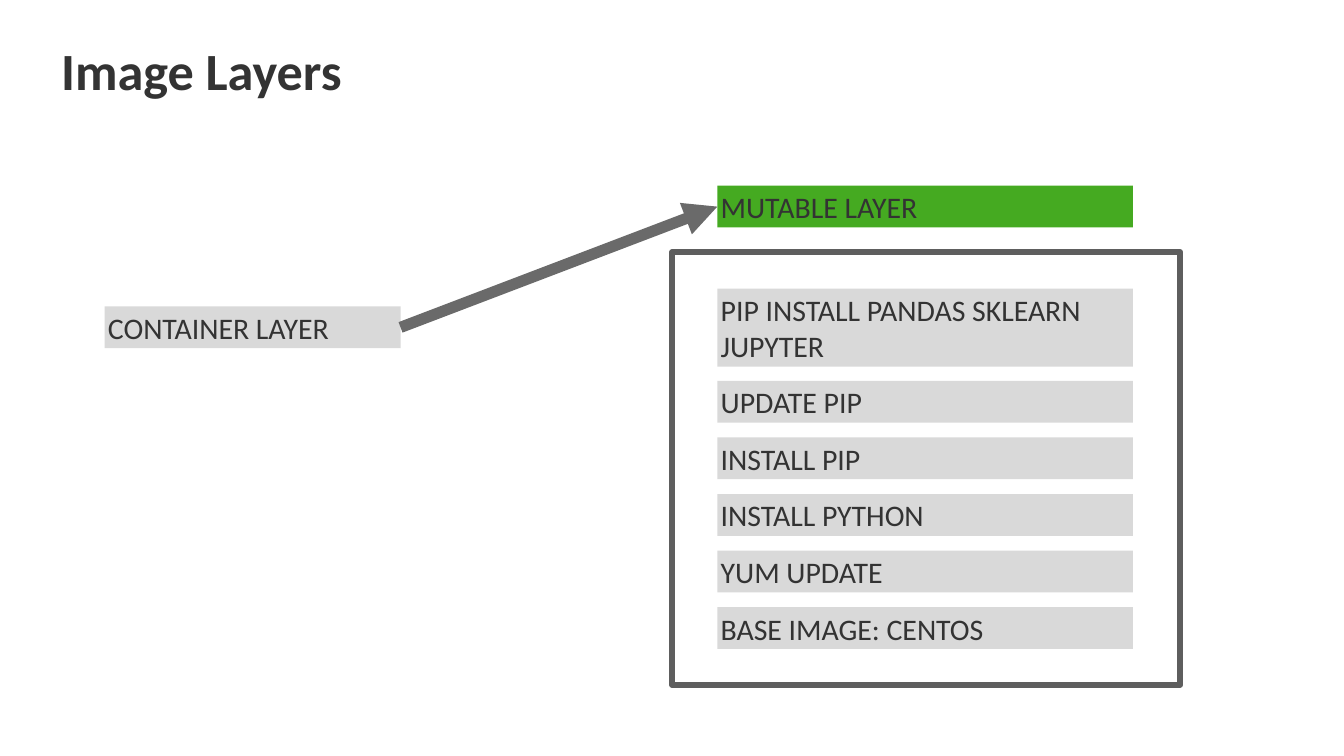
from pptx import Presentation
from pptx.dml.color import RGBColor
from pptx.enum.shapes import MSO_CONNECTOR as Connector, MSO_SHAPE as Shape
from pptx.enum.text import MSO_ANCHOR as Anchor, PP_ALIGN as Align
from pptx.oxml.xmlchemy import OxmlElement
from pptx.util import Pt

INK = RGBColor(0x33, 0x33, 0x33)
GRAY = RGBColor(0xD9, 0xD9, 0xD9)
GREEN = RGBColor(0x45, 0xAA, 0x21)
FRAME = RGBColor(0x5E, 0x5E, 0x5E)
ARROW = RGBColor(0x6A, 0x6A, 0x6A)


class LayerSlide:
    """Draws the parts of a layer diagram in one style on one slide."""

    font_name = "Calibri"
    inset = Pt(1.8)

    def __init__(self, slide):
        self.shapes = slide.shapes

    def label(self, shape, text, size, bold=False):
        frame = shape.text_frame
        frame.text = text
        frame.word_wrap = True
        frame.vertical_anchor = Anchor.MIDDLE
        frame.margin_left = frame.margin_right = self.inset
        frame.margin_top = frame.margin_bottom = self.inset
        paragraph = frame.paragraphs[0]
        paragraph.alignment = Align.LEFT
        font = paragraph.runs[0].font
        font.name, font.size, font.bold = self.font_name, Pt(size), bold
        font.color.rgb = INK

    def title(self, text, left, top, width, height):
        box = self.shapes.add_textbox(Pt(left), Pt(top), Pt(width), Pt(height))
        self.label(box, text, 28, bold=True)

    def rectangle(self, left, top, width, height):
        shape = self.shapes.add_shape(Shape.RECTANGLE, Pt(left), Pt(top), Pt(width), Pt(height))
        shape.shadow.inherit = False
        return shape

    def layer(self, text, left, top, width, height, color=GRAY):
        bar = self.rectangle(left, top, width, height)
        bar.fill.solid()
        bar.fill.fore_color.rgb = color
        bar.line.fill.background()
        self.label(bar, text, 16)

    def frame(self, left, top, width, height):
        border = self.rectangle(left, top, width, height)
        border.fill.background()
        border.line.color.rgb = FRAME
        border.line.width = Pt(3)

    def arrow(self, start_x, start_y, end_x, end_y):
        arrow = self.shapes.add_connector(
            Connector.STRAIGHT, Pt(start_x), Pt(start_y), Pt(end_x), Pt(end_y))
        arrow.line.color.rgb = ARROW
        arrow.line.width = Pt(6)
        head = OxmlElement("a:tailEnd")
        head.set("type", "triangle")
        arrow.line._get_or_add_ln().append(head)
        arrow._element.spPr.append(OxmlElement("a:effectLst"))


def main():
    deck = Presentation()
    deck.slide_width, deck.slide_height = Pt(720), Pt(405)
    diagram = LayerSlide(deck.slides.add_slide(deck.slide_layouts[6]))
    diagram.title("Image Layers", 31, 19, 490, 37)

    stack_left, stack_width, bar_height = 384.3, 222.7, 22.4
    base_top, step = 325.3, 30.3
    commands = ["BASE IMAGE: CENTOS", "YUM UPDATE", "INSTALL PYTHON", "INSTALL PIP", "UPDATE PIP"]
    for level, command in enumerate(commands):
        diagram.layer(command, stack_left, base_top - level * step, stack_width, bar_height)
    diagram.layer("PIP INSTALL PANDAS SKLEARN JUPYTER", stack_left, 154.6, stack_width, 41.8)
    diagram.frame(360, 135, 272.3, 232)

    mutable_top, container_left, container_top, container_width = 99.5, 56, 164.2, 158.6
    diagram.layer("MUTABLE LAYER", stack_left, mutable_top, stack_width, bar_height, GREEN)
    diagram.layer("CONTAINER LAYER", container_left, container_top, container_width, bar_height)
    diagram.arrow(container_left + container_width, container_top + bar_height / 2,
                  stack_left, mutable_top + bar_height / 2)
    deck.save("out.pptx")


if __name__ == "__main__":
    main()
